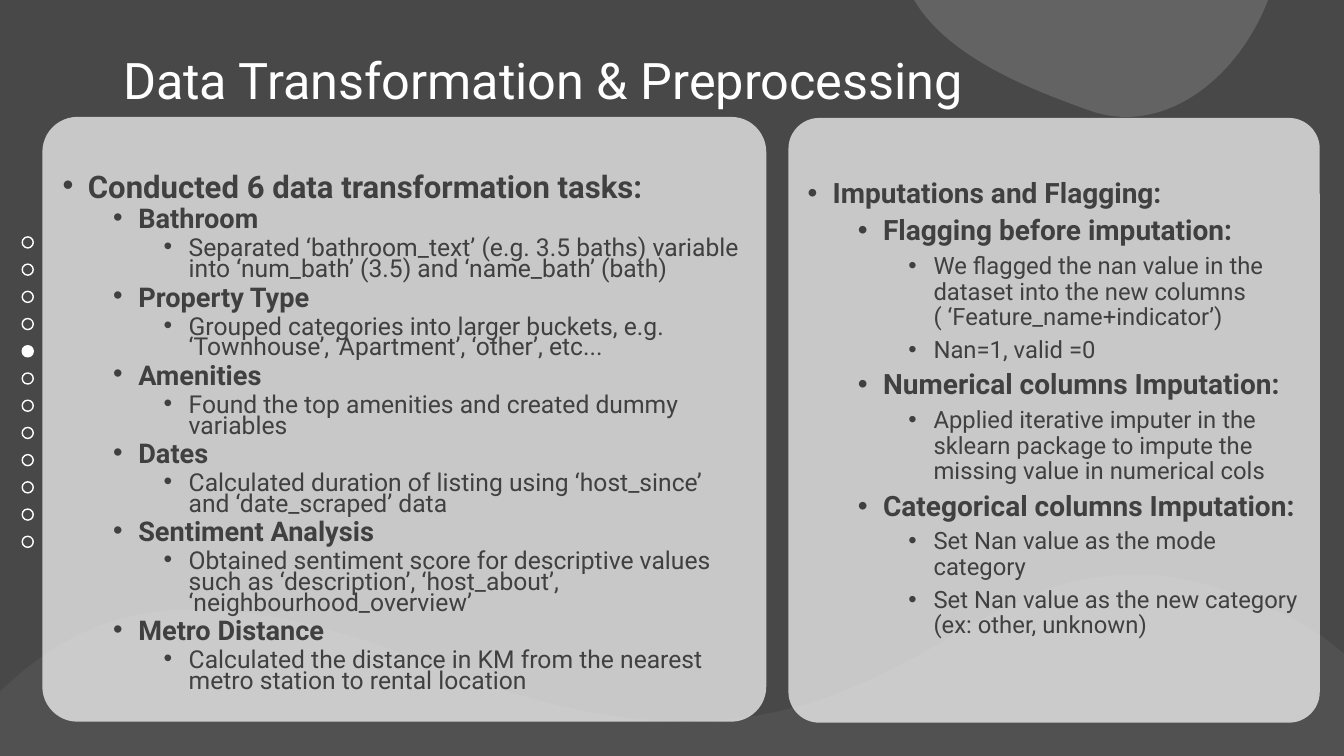
from math import cos, radians, sin

from pptx import Presentation
from pptx.dml.color import RGBColor
from pptx.enum.shapes import MSO_SHAPE as SHAPE
from pptx.enum.text import MSO_ANCHOR as ANCHOR, MSO_AUTO_SIZE as AUTO, PP_ALIGN as ALIGN
from pptx.oxml import parse_xml
from pptx.oxml.ns import nsdecls, qn
from pptx.util import Inches, Pt
from lxml import etree

DARK = RGBColor(0x48, 0x48, 0x48)
TEXT = RGBColor(0x40, 0x40, 0x40)
WHITE = RGBColor(0xFF, 0xFF, 0xFF)
FONT = "Roboto"

WAVE = [
    [(11.33, 5.7)],
    [(11.69, 5.71), (12.1, 5.81), (12.57, 6.02)],
    [(12.88, 6.15), (13.12, 6.3), (13.31, 6.47)],
    [(13.33, 6.49)], [(13.33, 7.5)], [(0, 7.5)], [(0, 6.86)], [(0.1, 6.77)],
    [(0.93, 6.02), (1.97, 5.68), (4.3, 6.6)],
    [(6.95, 7.65), (8.2, 7), (9.29, 6.4)],
    [(9.93, 6.03), (10.53, 5.67), (11.33, 5.7)],
]
DROP = [
    [(12.58, -0.01)],
    [(9.06, -0.01), (9.06, -0.01), (9.06, -0.01)],
    [(9.38, 0.54), (10.14, 0.86), (10.79, 1.09)],
    [(10.92, 1.14), (11.05, 1.16), (11.17, 1.16)],
    [(11.8, 1.16), (12.35, 0.61), (12.58, -0.01)],
]

TRANSFORMATIONS = [
    (0, "Conducted 6 data transformation tasks:"),
    (1, "Bathroom"),
    (2, "Separated ‘bathroom_text’ (e.g. 3.5 baths) variable into ‘num_bath’ (3.5) and ‘name_bath’ (bath)"),
    (1, "Property Type"),
    (2, "Grouped categories into larger buckets, e.g. ‘Townhouse’, ‘Apartment’, ‘other’, etc..."),
    (1, "Amenities"),
    (2, "Found the top amenities and created dummy variables"),
    (1, "Dates"),
    (2, "Calculated duration of listing using ‘host_since’ and ‘date_scraped’ data"),
    (1, "Sentiment Analysis"),
    (2, "Obtained sentiment score for descriptive values such as ‘description’, ‘host_about’, ‘neighbourhood_overview’"),
    (1, "Metro Distance"),
    (2, "Calculated the distance in KM from the nearest metro station to rental location"),
]
IMPUTATIONS = [
    (0, "Imputations and Flagging:"),
    (1, "Flagging before imputation:"),
    (2, "We flagged the nan value in the dataset into the new columns ( ‘Feature_name+indicator’)"),
    (2, "Nan=1, valid =0"),
    (1, "Numerical columns Imputation:"),
    (2, "Applied iterative imputer in the sklearn package to impute the missing value in numerical cols"),
    (1, "Categorical columns Imputation:"),
    (2, "Set Nan value as the mode category"),
    (2, "Set Nan value as the new category (ex: other, unknown)"),
]


def fill_white(sp, opacity):
    sp.fill.solid()
    sp.fill.fore_color.rgb = WHITE
    color = sp._element.spPr.find(".//" + qn("a:srgbClr"))
    etree.SubElement(color, qn("a:alpha")).set("val", str(opacity * 1000))
    sp.line.fill.background()


def place(sp, box):
    sp.left, sp.top, sp.width, sp.height = [Inches(v) for v in box]


def to_frame(point, box, angle):
    left, top, width, height = box
    dx, dy = point[0] - left - width / 2, point[1] - top - height / 2
    a = radians(-angle)
    return (Inches(width / 2 + dx * cos(a) - dy * sin(a)),
            Inches(height / 2 + dx * sin(a) + dy * cos(a)))


def add_blob(s, box, outline, opacity, order, angle=0):
    steps = [[to_frame(pt, box, angle) for pt in step] for step in outline]
    builder = s.shapes.build_freeform(*steps[0][0])
    builder.add_line_segments([step[-1] for step in steps[1:]], close=True)
    sp = builder.convert_to_shape()
    sp.shadow.inherit = False
    place(sp, box)
    sp.rotation = angle
    outline_el = sp._element.spPr.find(".//" + qn("a:path"))
    outline_el.set("w", str(sp.width))
    outline_el.set("h", str(sp.height))
    for child in list(outline_el):
        outline_el.remove(child)
    for i, step in enumerate(steps):
        tag = "a:cubicBezTo" if len(step) == 3 else "a:lnTo" if i else "a:moveTo"
        segment = etree.SubElement(outline_el, qn(tag))
        for x, y in step:
            pt = etree.SubElement(segment, qn("a:pt"))
            pt.set("x", str(x))
            pt.set("y", str(y))
    etree.SubElement(outline_el, qn("a:close"))
    fill_white(sp, opacity)
    s.shapes._spTree.insert(2 + order, sp._element)


def add_title(s, text, box):
    sp = s.shapes.title
    place(sp, box)
    tf = sp.text_frame
    tf.auto_size = AUTO.NONE
    tf.vertical_anchor = ANCHOR.MIDDLE
    tf.margin_left = Inches(1.22)
    p = tf.paragraphs[0]
    p.alignment = ALIGN.LEFT
    p.line_spacing = 0.9
    r = p.add_run()
    r.text = text
    r.font.name, r.font.size, r.font.color.rgb = FONT, Pt(36), WHITE


def add_panel(sp, box, items, sizes, spacing, inset):
    place(sp, box)
    sp._element.spPr.append(parse_xml(
        f'<a:prstGeom {nsdecls("a")} prst="roundRect"><a:avLst>'
        '<a:gd name="adj" fmla="val 5800"/></a:avLst></a:prstGeom>'))
    fill_white(sp, 70)
    tf = sp.text_frame
    tf.word_wrap = True
    tf.auto_size = AUTO.NONE
    tf.vertical_anchor = ANCHOR.TOP
    tf.margin_top = Inches(inset)
    for i, (level, text) in enumerate(items):
        p = tf.add_paragraph() if i else tf.paragraphs[0]
        p.level = level
        p.alignment = ALIGN.LEFT
        p.line_spacing = spacing
        p.space_before = Pt(5 if i else 0)
        pPr = p._p.get_or_add_pPr()
        pPr.set("marL", str(Inches(0.25 + 0.5 * level)))
        pPr.set("indent", str(Inches(-0.25)))
        etree.SubElement(pPr, qn("a:buFont")).set("typeface", "Arial")
        etree.SubElement(pPr, qn("a:buChar")).set("char", "•")
        r = p.add_run()
        r.text = text
        r.font.name, r.font.size, r.font.color.rgb = FONT, Pt(sizes[level]), TEXT
        r.font.bold = level < 2


def add_dots(s, left, top, size, pitch, count, current):
    group = s.shapes.add_group_shape()
    for i in range(count):
        sp = group.shapes.add_shape(SHAPE.OVAL, Inches(left), Inches(top + i * pitch),
                                    Inches(size), Inches(size))
        sp.shadow.inherit = False
        sp.line.color.rgb = WHITE
        sp.line.width = Pt(1)
        if i == current:
            sp.fill.solid()
            sp.fill.fore_color.rgb = WHITE
        else:
            sp.fill.background()


def main():
    prs = Presentation()
    prs.slide_width, prs.slide_height = Inches(13.33), Inches(7.5)
    s = prs.slides.add_slide(prs.slide_layouts[3])
    s.background.fill.solid()
    s.background.fill.fore_color.rgb = DARK
    add_blob(s, (0.02, 5.1, 13.28, 3.67), WAVE, 5, 0, angle=348.9)
    add_blob(s, (9.06, -0.01, 3.52, 1.17), DROP, 15, 1)
    add_title(s, "Data Transformation & Preprocessing", (0, 0.5, 13.33, 0.66))
    add_panel(s.placeholders[1], (0.42, 1.16, 7.18, 6), TRANSFORMATIONS,
              (22.2, 19.4, 17.6), 0.7, 0.5)
    add_panel(s.placeholders[2], (7.82, 1.17, 5.27, 6), IMPUTATIONS,
              (20, 20, 17), 0.9, 0.52)
    add_dots(s, 0.22, 2.35, 0.11, 0.27, 12, 4)
    prs.save("out.pptx")


if __name__ == "__main__":
    main()
